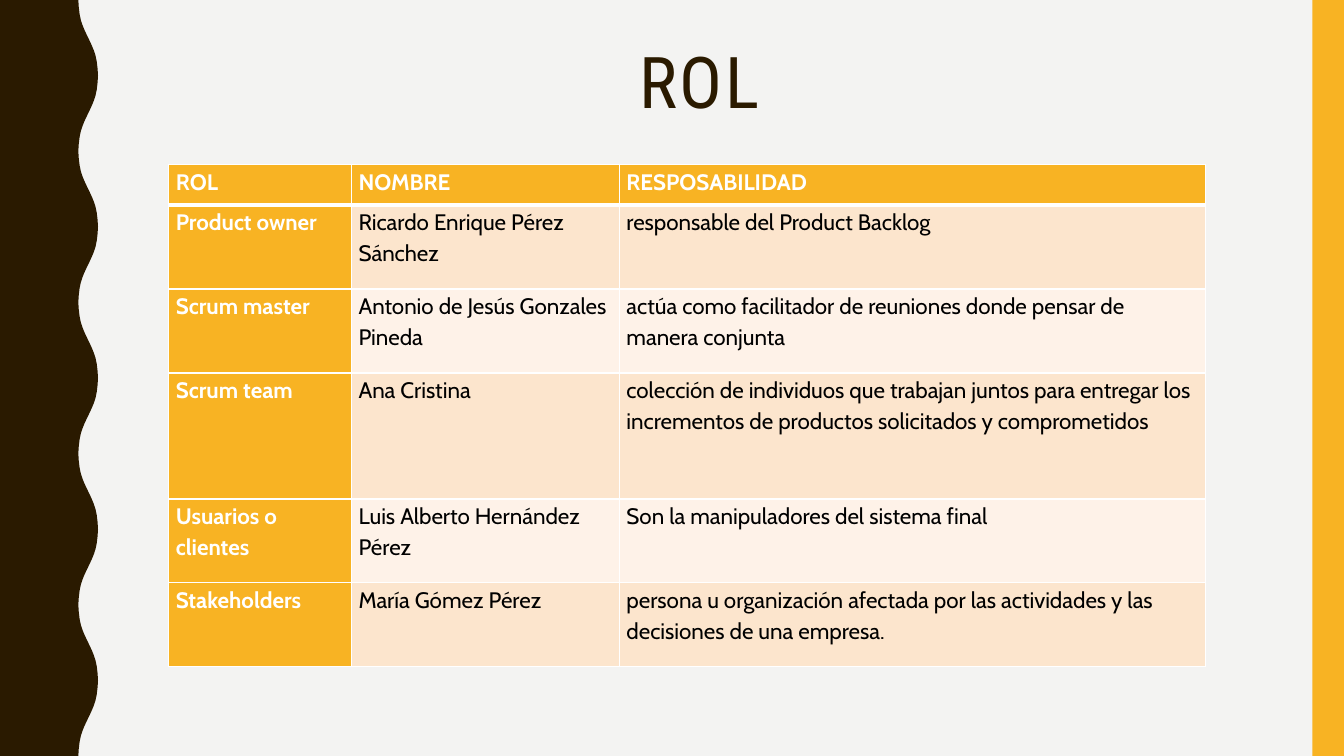
from lxml.etree import SubElement
from pptx import Presentation
from pptx.dml.color import RGBColor
from pptx.enum.shapes import MSO_SHAPE as SHAPE
from pptx.enum.text import MSO_ANCHOR as ANCHOR, PP_ALIGN as ALIGN
from pptx.oxml.ns import qn
from pptx.util import Inches, Pt

BROWN = RGBColor(0x2A, 0x1A, 0x00)
AMBER = RGBColor(0xF8, 0xB3, 0x23)
PEACH = RGBColor(0xFC, 0xE5, 0xCD)
CREAM = RGBColor(0xFE, 0xF2, 0xE8)
PAPER = RGBColor(0xF3, 0xF3, 0xF2)
WHITE = RGBColor(0xFF, 0xFF, 0xFF)
BLACK = RGBColor(0x00, 0x00, 0x00)

COLS, ROWS = 160, 90
WAVES = 5
WAVE_LEFT, WAVE_DEPTH = 9.33, 2.34
QUARTER_WAVE = [(0, 0), (0.05, 0.84), (0.15, 1.68), (0.3, 2.4),
                (0.5, 3), (0.7, 3.5), (0.93, 4)]

ROLES = [
    ("ROL", "NOMBRE", "RESPOSABILIDAD"),
    ("Product owner", "Ricardo Enrique Pérez Sánchez",
     "responsable del Product Backlog"),
    ("Scrum master", "Antonio de Jesús Gonzales Pineda",
     "actúa como facilitador de reuniones donde pensar de manera conjunta"),
    ("Scrum team", "Ana Cristina",
     "colección de individuos que trabajan juntos para entregar los "
     "incrementos de productos solicitados y comprometidos"),
    ("Usuarios o clientes", "Luis Alberto Hernández Pérez",
     "Son la manipuladores del sistema final"),
    ("Stakeholders", "María Gómez Pérez",
     "persona u organización afectada por las actividades y las decisiones "
     "de una empresa."),
]


def wave_edge():
    period = ROWS / WAVES
    half = period / 2
    rise = QUARTER_WAVE + [(WAVE_DEPTH / 2, half / 2)]
    rise += [(WAVE_DEPTH - x, half - y) for x, y in reversed(QUARTER_WAVE)]
    wave = rise + [(x, period - y) for x, y in reversed(rise[:-1])]
    return [(WAVE_LEFT + x, n * period + y)
            for n in range(WAVES) for x, y in wave]


class SlideBuilder:
    title_font, body_font = "Roboto Condensed", "Cabin"
    title_size, body_size = Pt(51), Pt(16)

    def __init__(self, prs):
        self.prs = prs
        self.s = prs.slides.add_slide(prs.slide_layouts[6])

    def x(self, cols):
        return round(self.prs.slide_width * cols / COLS)

    def y(self, rows):
        return round(self.prs.slide_height * rows / ROWS)

    def box(self, left, top, width, height):
        return self.x(left), self.y(top), self.x(width), self.y(height)

    def background(self, color):
        fill = self.s.background.fill
        fill.solid()
        fill.fore_color.rgb = color

    def paint(self, sp, color):
        sp.shadow.inherit = False
        sp.fill.solid()
        sp.fill.fore_color.rgb = color
        sp.line.fill.background()

    def outline(self, points, color):
        start, *rest = [(self.x(x), self.y(y)) for x, y in points]
        builder = self.s.shapes.build_freeform(*start)
        builder.add_line_segments(rest, close=True)
        self.paint(builder.convert_to_shape(), color)

    def bar(self, left, top, width, height, color):
        sp = self.s.shapes.add_shape(SHAPE.RECTANGLE,
                                     *self.box(left, top, width, height))
        self.paint(sp, color)

    def style_text(self, tf, text, font, size, color, bold, spacing):
        tf.text = text
        p = tf.paragraphs[0]
        p.line_spacing = spacing
        r = p.runs[0]
        r.font.name, r.font.size, r.font.bold = font, size, bold
        r.font.color.rgb = color
        return p

    def title(self, text, left, top, width, height):
        sp = self.s.shapes.add_textbox(*self.box(left, top, width, height))
        tf = sp.text_frame
        tf.word_wrap = True
        tf.vertical_anchor = ANCHOR.TOP
        p = self.style_text(tf, text, self.title_font, self.title_size,
                            BROWN, False, 0.9)
        p.alignment = ALIGN.CENTER
        p.runs[0].font._element.set("spc", "200")

    def borders(self, cell, top, bottom):
        tc_pr = cell._tc.get_or_add_tcPr()
        for side, width in (("L", 1), ("R", 1), ("T", top), ("B", bottom)):
            ln = SubElement(tc_pr, qn("a:ln" + side), w=str(Pt(width)))
            fill = SubElement(ln, qn("a:solidFill"))
            SubElement(fill, qn("a:srgbClr"), val=str(WHITE))

    def cell(self, cell, text, row, col):
        heading = row == 0 or col == 0
        cell.margin_left = cell.margin_right = Inches(0.07)
        cell.margin_top = cell.margin_bottom = 0
        self.borders(cell, 3 if row == 1 else 1, 3 if row == 0 else 1)
        cell.fill.solid()
        band = PEACH if row % 2 else CREAM
        cell.fill.fore_color.rgb = AMBER if heading else band
        self.style_text(cell.text_frame, text, self.body_font, self.body_size,
                        WHITE if heading else BLACK, heading, 1.15)

    def table(self, data, left, top, widths, heights):
        frame = self.s.shapes.add_table(
            len(heights), len(widths),
            *self.box(left, top, sum(widths), sum(heights)))
        table = frame.table
        table.first_col = True
        for column, width in zip(table.columns, widths):
            column.width = self.x(width)
        for row, height in zip(table.rows, heights):
            row.height = self.y(height)
        for i, texts in enumerate(data):
            for j, text in enumerate(texts):
                self.cell(table.cell(i, j), text, i, j)


def main():
    prs = Presentation()
    prs.slide_width, prs.slide_height = Inches(13.33), Inches(7.5)
    slide = SlideBuilder(prs)
    slide.background(PAPER)
    edge = [(0, 0), *wave_edge(), (0, ROWS)]
    slide.outline(edge, BROWN)
    slide.bar(156.25, 0, 3.75, ROWS, AMBER)
    slide.title("ROL", 16.5, 5, 133.5, 19.5)
    slide.table(ROLES, 20.1, 19.6, [21.75, 31.9, 69.8],
                [4.8, 10, 10, 15, 10, 10])
    prs.save("out.pptx")


if __name__ == "__main__":
    main()
